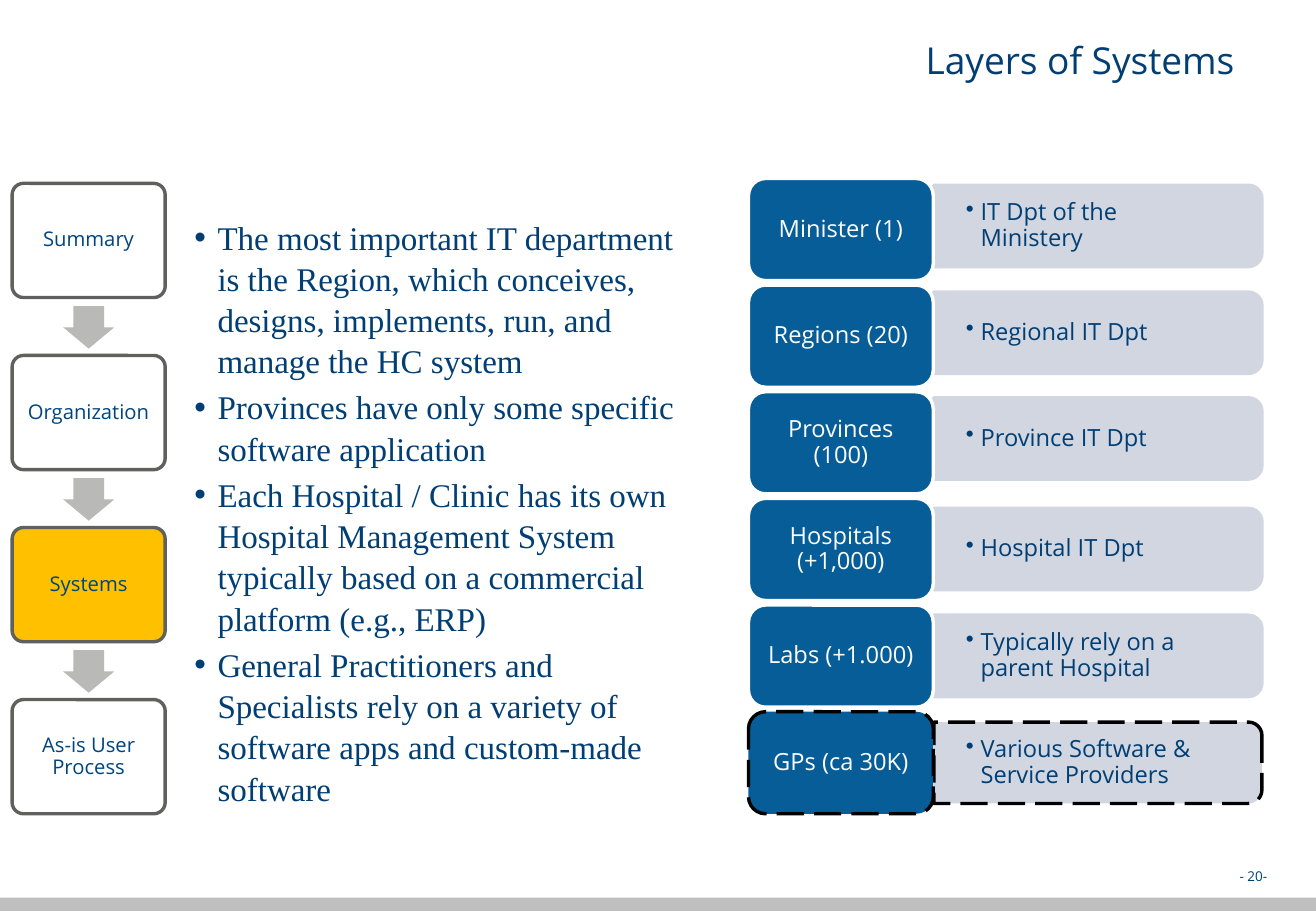
import pptx
import pptx.util
import pptx.dml.color
import pptx.enum.dml
import pptx.enum.shapes
import pptx.enum.text
import pptx.oxml
import pptx.oxml.ns

Inches, Pt = pptx.util.Inches, pptx.util.Pt
Shape = pptx.enum.shapes.MSO_SHAPE
Align = pptx.enum.text.PP_ALIGN
Anchor = pptx.enum.text.MSO_ANCHOR
NAVY, SANS, SERIF = "003E74", "Open Sans", "Times New Roman"

STAGES = [
    ("Summary", "FFFFFF"),
    ("Organization", "FFFFFF"),
    ("Systems", "FFC000"),
    ("As-is User Process", "FFFFFF"),
]
LAYERS = [
    ("Minister (1)", "IT Dpt of the Ministery", 1.86),
    ("Regions (20)", "Regional IT Dpt", 2.74),
    ("Provinces (100)", "Province IT Dpt", 3.61),
    ("Hospitals (+1,000)", "Hospital IT Dpt", 4.52),
    ("Labs (+1.000)", "Typically rely on a parent Hospital", 5.4),
    ("GPs (ca 30K)", "Various Software & Service Providers", 6.28),
]
POINTS = [
    "The most important IT department is the Region, which conceives, designs, "
    "implements, run, and manage the HC system",
    "Provinces have only some specific software application",
    "Each Hospital / Clinic has its own Hospital Management System typically "
    "based on a commercial platform (e.g., ERP)",
    "General Practitioners and Specialists rely on a variety of software apps "
    "and custom-made software",
]


def color(code):
    """Turn a hex string into a colour."""
    return pptx.dml.color.RGBColor.from_string(code)


def place(shape, left, top, width, height):
    """Move and size a shape, in inches."""
    shape.left, shape.top = Inches(left), Inches(top)
    shape.width, shape.height = Inches(width), Inches(height)


def bullet(para, indent):
    """Give a paragraph a round bullet with a hanging indent."""
    props = para._p.get_or_add_pPr()
    props.set("marL", str(Inches(indent)))
    props.set("indent", str(-Inches(indent)))
    mark = pptx.oxml.parse_xml(
        f'<a:buChar {pptx.oxml.ns.nsdecls("a")} char="•"/>')
    props.append(mark)


def write(shape, lines, size, code, font=SANS, align=Align.LEFT,
          anchor=Anchor.MIDDLE, insets=(0, 0, 0, 0), space=0.9, gap=0, indent=0):
    """Fill a shape with evenly formatted paragraphs."""
    frame = shape.text_frame
    frame.word_wrap = True
    frame.auto_size = pptx.enum.text.MSO_AUTO_SIZE.NONE
    frame.vertical_anchor = anchor
    (frame.margin_left, frame.margin_top,
     frame.margin_right, frame.margin_bottom) = map(Inches, insets)
    for i, line in enumerate(lines):
        para = frame.add_paragraph() if i else frame.paragraphs[0]
        para.text = line
        para.alignment = align
        para.line_spacing = space
        para.space_before = Pt(gap if i else 0)
        para.space_after = Pt(0)
        if indent:
            bullet(para, indent)
        para.font.size = Pt(size)
        para.font.name = font
        para.font.color.rgb = color(code)


def draw(slide, kind, box, fill, line=None, dashed=False):
    """Add a flat preset shape, outlined if a line colour is given."""
    shape = slide.shapes.add_shape(kind, *map(Inches, box))
    shape.shadow.inherit = False
    shape.fill.solid()
    shape.fill.fore_color.rgb = color(fill)
    if line:
        shape.line.color.rgb = color(line)
        shape.line.width = Pt(2)
        if dashed:
            shape.line.dash_style = pptx.enum.dml.MSO_LINE.LONG_DASH
    else:
        shape.line.fill.background()
    return shape


def label(slide, box, text, size, **style):
    """Add a text box of one paragraph."""
    shape = slide.shapes.add_textbox(*map(Inches, box))
    write(shape, [text], size, NAVY, **style)


def stage(slide, row, text, fill):
    """Draw one step of the agenda and the arrow that leads on from it."""
    top = 1.51 + row * 4.25 / 3
    card = draw(slide, Shape.ROUNDED_RECTANGLE, (0.1, top, 1.26, 0.94),
                fill, "60615D")
    card.adjustments[0] = 0.1
    write(card, [text], 12, "00457E", align=Align.CENTER,
          insets=(0.08, 0.08, 0.08, 0.08))
    if row < len(STAGES) - 1:
        arrow = draw(slide, Shape.DOWN_ARROW, (0.52, top + 1.01, 0.42, 0.35),
                     "B9BAB8")
        arrow.adjustments[0] = 0.6
        arrow.adjustments[1] = 0.5


def layer(slide, row, name, note, middle):
    """Draw one layer: its name block and the bar with its note."""
    last = row == len(LAYERS) - 1
    bar = draw(slide, Shape.ROUND_2_SAME_RECTANGLE,
               (8.7, middle - 1.35, 0.67, 2.7), "D1D6E0",
               "000000" if last else "D1D6E0", last)
    bar.rotation = 90
    label(slide, (7.68, middle - 0.3, 2.66, 0.6), note, 14,
          insets=(0.27, 0, 0.27, 0), indent=0.12)
    block = draw(slide, Shape.ROUNDED_RECTANGLE,
                 (6.16, 1.47 + row * 0.878, 1.52, 0.84), "065D98",
                 "000000" if last else "FFFFFF", last)
    write(block, [name], 14, "FFFFFF", align=Align.CENTER,
          insets=(0.06, 0.03, 0.06, 0.03))


def main():
    """Build the slide and save it."""
    deck = pptx.Presentation()
    deck.slide_width, deck.slide_height = Inches(10.83), Inches(7.5)
    slide = deck.slides.add_slide(deck.slide_layouts[1])
    draw(slide, Shape.RECTANGLE, (0, 7.39, 10.83, 0.11), "BFBFBF")
    label(slide, (8.88, 7.1, 1.55, 0.22), "- 20-", 8, align=Align.RIGHT, space=1)

    title, body = slide.placeholders
    place(title, 1.6, 0.25, 8.74, 1.06)
    write(title, ["Layers of Systems"], 22, NAVY, align=Align.RIGHT,
          anchor=Anchor.TOP, insets=(0.1, 0.04, 0.18, 0.04), space=1.05)
    place(body, 1.6, 1.47, 4.25, 5.23)
    write(body, POINTS, 19.6, NAVY, font=SERIF, anchor=Anchor.BOTTOM,
          insets=(0, 0.05, 0.1, 0.05), space=1.04, gap=3, indent=0.19)

    for row, item in enumerate(LAYERS):
        layer(slide, row, *item)
    for row, item in enumerate(STAGES):
        stage(slide, row, *item)
    deck.save("out.pptx")


if __name__ == "__main__":
    main()
